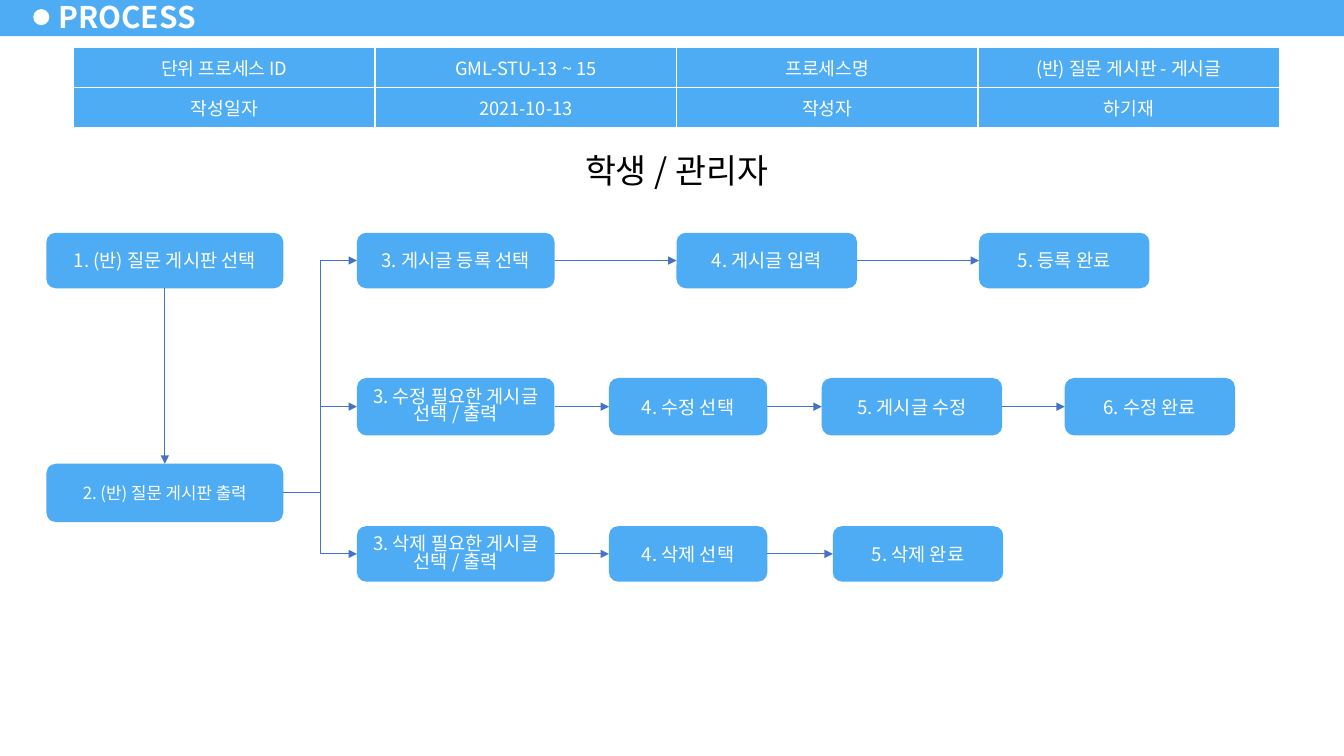
from dataclasses import dataclass

from lxml import etree
from pptx import Presentation
from pptx.dml.color import RGBColor
from pptx.enum import shapes, text
from pptx.oxml import ns
from pptx.util import Inches, Pt


@dataclass(frozen=True)
class Theme:
    font: str = "Noto Sans CJK KR"
    blue: RGBColor = RGBColor(0x4D, 0xAC, 0xF3)
    arrow: RGBColor = RGBColor(0x44, 0x72, 0xC4)
    white: RGBColor = RGBColor(0xFF, 0xFF, 0xFF)
    black: RGBColor = RGBColor(0, 0, 0)
    title: float = 21.3
    role: float = 24
    table: float = 13
    step: float = 13.3
    small_step: float = 12


@dataclass(frozen=True)
class Step:
    label: str
    left: float
    width: float
    size: float = Theme.step
    spacing: float = 1.0


@dataclass(frozen=True)
class Flow:
    top: float
    height: float
    steps: tuple[Step, ...]


THEME = Theme()
TOP, LEFT, BOTTOM, RIGHT = range(4)  # connection sites of a step
STRAIGHT = shapes.MSO_CONNECTOR.STRAIGHT
ELBOW = shapes.MSO_CONNECTOR.ELBOW

BOARD_STEPS = (
    Flow(2.31, 0.55, (Step("1. (반) 질문 게시판 선택", 0.46, 2.35),)),
    Flow(4.6, 0.58, (Step("2. (반) 질문 게시판 출력", 0.46, 2.35, THEME.small_step),)),
)
POST_FLOWS = (
    Flow(2.31, 0.55, (
        Step("3. 게시글 등록 선택", 3.54, 1.96),
        Step("4. 게시글 입력", 6.71, 1.79),
        Step("5. 등록 완료", 9.71, 1.69))),
    Flow(3.75, 0.57, (
        Step("3. 수정 필요한 게시글 선택 / 출력", 3.54, 1.96, spacing=0.8),
        Step("4. 수정 선택", 6.04, 1.57),
        Step("5. 게시글 수정", 8.15, 1.79),
        Step("6. 수정 완료", 10.56, 1.69))),
    Flow(5.22, 0.55, (
        Step("3. 삭제 필요한 게시글 선택 / 출력", 3.54, 1.96, spacing=0.8),
        Step("4. 삭제 선택", 6.04, 1.57),
        Step("5. 삭제 완료", 8.26, 1.69))),
)
PROCESS_INFO = (
    ("단위 프로세스 ID", "GML-STU-13 ~ 15", "프로세스명", "(반) 질문 게시판 - 게시글"),
    ("작성일자", "2021-10-13", "작성자", "하기재"),
)


def write(frame, words: str, size: float, color: RGBColor, *, bold: bool = False,
          align=text.PP_ALIGN.CENTER, spacing: float = 1.0) -> None:
    frame.text = words
    paragraph = frame.paragraphs[0]
    paragraph.alignment = align
    paragraph.line_spacing = spacing
    for run in paragraph.runs:
        run.font.name = THEME.font
        run.font.size = Pt(size)
        run.font.bold = bold
        run.font.color.rgb = color
        east_asian = etree.SubElement(run.font._element, ns.qn("a:ea"))
        east_asian.set("typeface", THEME.font)


def set_insets(holder, side: float, upright: float) -> None:
    holder.margin_left = holder.margin_right = Inches(side)
    holder.margin_top = holder.margin_bottom = Inches(upright)


def add_block(slide, preset, left: float, top: float, width: float, height: float,
              color: RGBColor):
    block = slide.shapes.add_shape(
        preset, Inches(left), Inches(top), Inches(width), Inches(height))
    block.shadow.inherit = False
    block.fill.solid()
    block.fill.fore_color.rgb = color
    block.line.fill.background()
    return block


def add_step(slide, step: Step, flow: Flow):
    box = add_block(slide, shapes.MSO_SHAPE.ROUNDED_RECTANGLE,
                    step.left, flow.top, step.width, flow.height, THEME.blue)
    frame = box.text_frame
    frame.word_wrap = True
    frame.vertical_anchor = text.MSO_ANCHOR.MIDDLE
    set_insets(frame, 0.13, 0.07)
    write(frame, step.label, step.size, THEME.white, spacing=step.spacing)
    return box


def add_flow(slide, flow: Flow) -> list:
    boxes = [add_step(slide, step, flow) for step in flow.steps]
    for before, after in zip(boxes, boxes[1:]):
        add_arrow(slide, STRAIGHT, before, RIGHT, after, LEFT)
    return boxes


def add_arrow(slide, kind, start, start_site: int, end, end_site: int) -> None:
    arrow = slide.shapes.add_connector(kind, 0, 0, 0, 0)
    arrow.begin_connect(start, start_site)
    arrow.end_connect(end, end_site)
    arrow.line.color.rgb = THEME.arrow
    arrow.line.width = Pt(0.75)
    etree.SubElement(arrow.line._get_or_add_ln(), ns.qn("a:tailEnd"), type="triangle")
    etree.SubElement(arrow._element.spPr, ns.qn("a:effectLst"))


def add_cell_borders(cell) -> None:
    properties = cell._tc.get_or_add_tcPr()
    for side in ("lnL", "lnR", "lnT", "lnB"):
        border = etree.SubElement(properties, ns.qn(f"a:{side}"), w=str(Pt(1)))
        fill = etree.SubElement(border, ns.qn("a:solidFill"))
        etree.SubElement(fill, ns.qn("a:srgbClr"), val=str(THEME.white))


def add_process_info(slide) -> None:
    info = slide.shapes.add_table(
        len(PROCESS_INFO), len(PROCESS_INFO[0]),
        Inches(0.73), Inches(0.47), Inches(11.96), Inches(0.75)).table
    info.first_row = info.horz_banding = False
    for row, entries in enumerate(PROCESS_INFO):
        for column, entry in enumerate(entries):
            cell = info.cell(row, column)
            add_cell_borders(cell)
            cell.fill.solid()
            cell.fill.fore_color.rgb = THEME.blue
            cell.vertical_anchor = text.MSO_ANCHOR.MIDDLE
            set_insets(cell, 0.13, 0.07)
            write(cell.text_frame, entry, THEME.table, THEME.white)


def add_header(slide) -> None:
    add_block(slide, shapes.MSO_SHAPE.RECTANGLE, 0, -0.02, 13.33, 0.38, THEME.blue)
    add_block(slide, shapes.MSO_SHAPE.OVAL, 0.33, 0.09, 0.16, 0.16, THEME.white)
    title = slide.shapes.title
    title.left, title.top = Inches(0.47), Inches(-0.05)
    title.width, title.height = Inches(1.63), Inches(0.43)
    frame = title.text_frame
    frame.auto_size = text.MSO_AUTO_SIZE.NONE
    frame.vertical_anchor = text.MSO_ANCHOR.MIDDLE
    set_insets(frame, 0.11, 0.06)
    write(frame, "PROCESS", THEME.title, THEME.white, bold=True,
          align=text.PP_ALIGN.LEFT)
    title.element.getparent().append(title.element)  # in front of the band


def add_roles(slide) -> None:
    roles = slide.shapes.add_textbox(Inches(4.33), Inches(1.42), Inches(4.76), Inches(0.54))
    roles.fill.solid()
    roles.fill.fore_color.rgb = THEME.white
    roles.text_frame.word_wrap = True
    set_insets(roles.text_frame, 0.13, 0.07)
    write(roles.text_frame, "학생 / 관리자", THEME.role, THEME.black)


deck = Presentation()
deck.slide_width, deck.slide_height = Inches(13.33), Inches(7.5)
process = deck.slides.add_slide(deck.slide_layouts.get_by_name("Title Only"))

# Header, process details and roles
add_header(process)
add_process_info(process)
add_roles(process)

# Board steps, then one branch per post action
select_board, show_board = (add_flow(process, flow)[0] for flow in BOARD_STEPS)
add_arrow(process, STRAIGHT, select_board, BOTTOM, show_board, TOP)
for post_flow in POST_FLOWS:
    first_step = add_flow(process, post_flow)[0]
    add_arrow(process, ELBOW, show_board, RIGHT, first_step, LEFT)

deck.save("out.pptx")
